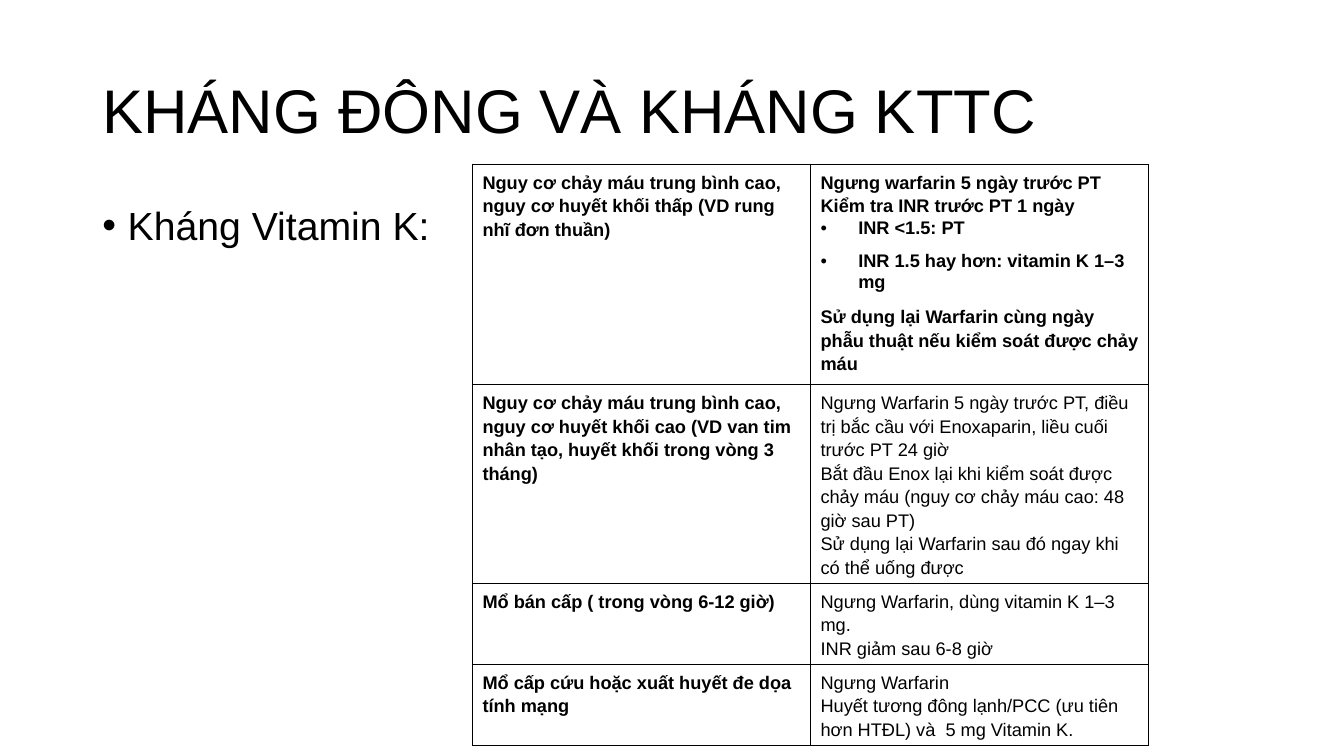
from lxml import etree
from pptx import Presentation
from pptx import util as u
from pptx.dml.color import RGBColor
from pptx.enum import text
from pptx.oxml.ns import qn

# Content: a line starting with "• " is a bullet
TITLE = "KHÁNG ĐÔNG VÀ KHÁNG KTTC"
TOPIC = "Kháng Vitamin K:"
# Each row: height in cm, risk group, management lines, management in bold
REGIMENS = [
    (4.14,
     "Nguy cơ chảy máu trung bình cao, nguy cơ huyết khối thấp (VD rung nhĩ đơn thuần)",
     ["Ngưng warfarin 5 ngày trước PT",
      "Kiểm tra INR trước PT 1 ngày",
      "• INR <1.5: PT",
      "• INR 1.5 hay hơn: vitamin K 1–3 mg",
      "Sử dụng lại Warfarin cùng ngày phẫu thuật nếu kiểm soát được chảy máu"],
     True),
    (4.67,
     "Nguy cơ chảy máu trung bình cao, nguy cơ huyết khối cao (VD van tim nhân tạo, "
     "huyết khối trong vòng 3 tháng)",
     ["Ngưng Warfarin 5 ngày trước PT, điều trị bắc cầu với Enoxaparin, "
      "liều cuối trước PT 24 giờ",
      "Bắt đầu Enox lại khi kiểm soát được chảy máu (nguy cơ chảy máu cao: 48 giờ sau PT)",
      "Sử dụng lại Warfarin sau đó ngay khi có thể uống được"],
     False),
    (1.35,
     "Mổ bán cấp ( trong vòng 6-12 giờ)",
     ["Ngưng Warfarin, dùng vitamin K 1–3 mg.",
      "INR giảm sau 6-8 giờ"],
     False),
    (1.9,
     "Mổ cấp cứu hoặc xuất huyết đe dọa tính mạng",
     ["Ngưng Warfarin",
      "Huyết tương đông lạnh/PCC (ưu tiên hơn HTĐL) và  5 mg Vitamin K."],
     False),
]

# Format
COLORS = {"text": "000000", "border": "000000", "page": "FFFFFF"}
FONT = "Arial"
HEADING = {"line_spacing": 0.9}
CELL_LINE = {"line_spacing": u.Pt(16.8)}
CELL_BULLET = {"line_spacing": 1.07, "space_after": u.Pt(8)}
CELL_MARGINS = {"margin_left": u.Cm(0.25), "margin_right": u.Cm(0.25),
                "margin_top": u.Cm(0.13), "margin_bottom": u.Cm(0.13)}
LEFT, WIDTH = 2.33, 29.21
COLUMN = 8.52


def apply(target, values):
    for name, value in values.items():
        setattr(target, name, value)


def add_bullet(paragraph, indent, tab=None):
    props = paragraph._p.get_or_add_pPr()
    props.set("marL", str(u.Cm(indent)))
    props.set("indent", str(-u.Cm(indent)))
    etree.SubElement(props, qn("a:buFont"), typeface=FONT)
    etree.SubElement(props, qn("a:buChar"), char="•")
    if tab:
        tabs = etree.SubElement(props, qn("a:tabLst"))
        etree.SubElement(tabs, qn("a:tab"), pos=str(u.Cm(tab)), algn="l")


def write(paragraph, words, size, values, bold=False):
    apply(paragraph, values)
    run = paragraph.add_run()
    run.text = words
    apply(run.font, {"name": FONT, "size": u.Pt(size), "bold": bold})
    run.font.color.rgb = RGBColor.from_string(COLORS["text"])


def add_box(top, height, anchor):
    box = slide.shapes.add_textbox(u.Cm(LEFT), u.Cm(top), u.Cm(WIDTH), u.Cm(height))
    apply(box.text_frame, {"word_wrap": True, "vertical_anchor": anchor})
    return box.text_frame.paragraphs[0]


def add_borders(cell):
    for place, side in enumerate(("a:lnL", "a:lnR", "a:lnT", "a:lnB")):
        line = etree.Element(qn(side), w=str(u.Pt(1)))
        fill = etree.SubElement(line, qn("a:solidFill"))
        etree.SubElement(fill, qn("a:srgbClr"), val=COLORS["border"])
        cell._tc.get_or_add_tcPr().insert(place, line)


def fill_cell(cell, lines, bold):
    apply(cell, CELL_MARGINS)
    cell.fill.background()
    add_borders(cell)
    for number, line in enumerate(lines):
        frame = cell.text_frame
        paragraph = frame.add_paragraph() if number else frame.paragraphs[0]
        bulleted = line.startswith("• ")
        if bulleted:
            add_bullet(paragraph, 0.95, tab=1.27)
        write(paragraph, line.removeprefix("• "), 13,
              CELL_BULLET if bulleted else CELL_LINE, bold)


deck = Presentation()
apply(deck, {"slide_width": u.Cm(33.87), "slide_height": u.Cm(19.05)})
slide = deck.slides.add_slide(deck.slide_layouts[6])
slide.background.fill.solid()
slide.background.fill.fore_color.rgb = RGBColor.from_string(COLORS["page"])

# Title and topic
write(add_box(1.01, 3.68, text.MSO_ANCHOR.MIDDLE), TITLE, 44, HEADING)
topic = add_box(5.07, 12.09, text.MSO_ANCHOR.TOP)
add_bullet(topic, 0.64)
write(topic, TOPIC, 28, HEADING)

# Table of regimens by risk group
regimens = slide.shapes.add_table(len(REGIMENS), 2, u.Cm(11.91), u.Cm(4.14),
                                  u.Cm(2 * COLUMN), u.Cm(14.53)).table
apply(regimens, {"first_row": False, "horz_banding": False})
for column in regimens.columns:
    column.width = u.Cm(COLUMN)
for row, (height, risk, management, bold) in zip(regimens.rows, REGIMENS):
    row.height = u.Cm(height)
    fill_cell(row.cells[0], [risk], True)
    fill_cell(row.cells[1], management, bold)

deck.save("out.pptx")
